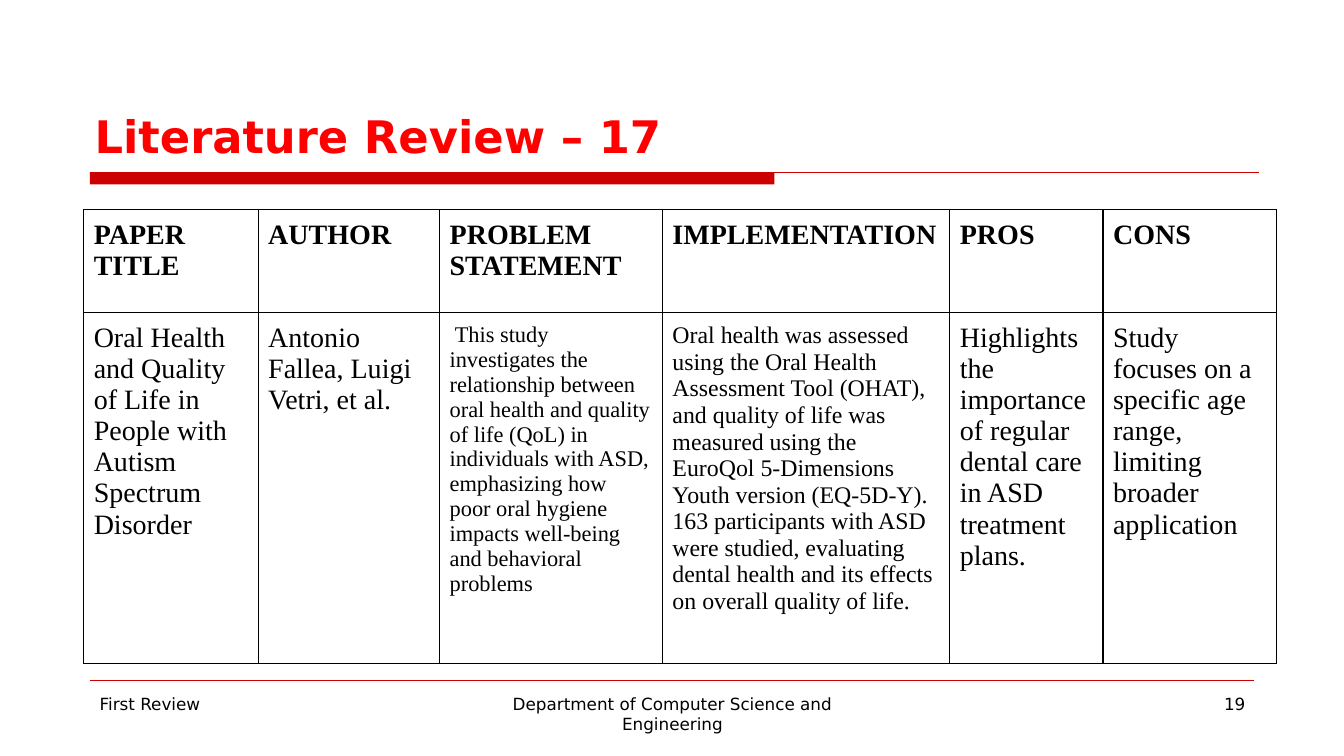
from lxml.etree import SubElement
from pptx import Presentation
from pptx.dml.color import RGBColor
from pptx.enum.shapes import MSO_CONNECTOR, MSO_SHAPE
from pptx.enum.text import MSO_ANCHOR, PP_ALIGN
from pptx.oxml.ns import qn
from pptx.util import Inches, Pt


def color(value):
    return RGBColor.from_string(value)


class ReviewSlide:
    """Style and drawing methods for one literature review slide."""

    sans = "DejaVu Sans"
    serif = "Times New Roman"
    black = "000000"
    red = "FF0000"
    accent = "CC0000"

    def __init__(self, deck):
        self.page = deck.slides.add_slide(deck.slide_layouts[6])

    def fill_para(self, para, text, size, font, ink=black, bold=False):
        para.text = text
        for span in para.runs:
            span.font.size = Pt(size)
            span.font.name = font
            span.font.bold = bold
            span.font.color.rgb = color(ink)

    def text(self, left, top, width, height, text, size=12, ink=black,
             bold=False, align=PP_ALIGN.LEFT, anchor=MSO_ANCHOR.TOP):
        box = self.page.shapes.add_textbox(
            Inches(left), Inches(top), Inches(width), Inches(height))
        frame = box.text_frame
        frame.word_wrap = True
        frame.vertical_anchor = anchor
        para = frame.paragraphs[0]
        self.fill_para(para, text, size, self.sans, ink, bold)
        para.alignment = align

    def bar(self, left, top, width, height):
        shape = self.page.shapes.add_shape(
            MSO_SHAPE.RECTANGLE, Inches(left), Inches(top), Inches(width), Inches(height))
        shape.shadow.inherit = False
        shape.fill.solid()
        shape.fill.fore_color.rgb = color(self.accent)
        shape.line.fill.background()

    def rule(self, left, right, top, weight):
        line = self.page.shapes.add_connector(
            MSO_CONNECTOR.STRAIGHT, Inches(left), Inches(top), Inches(right), Inches(top))
        line.line.color.rgb = color(self.accent)
        line.line.width = Pt(weight)
        SubElement(line._element.spPr, qn("a:effectLst"))

    def border(self, cell):
        properties = cell._tc.get_or_add_tcPr()
        for position, side in enumerate(("a:lnL", "a:lnR", "a:lnT", "a:lnB")):
            edge = properties.makeelement(qn(side), {"w": str(Pt(1))})
            fill = SubElement(edge, qn("a:solidFill"))
            SubElement(fill, qn("a:srgbClr"), val=self.black)
            properties.insert(position, edge)

    def table(self, left, top, widths, heights, rows, sizes):
        frame = self.page.shapes.add_table(
            len(rows), len(widths), Inches(left), Inches(top),
            Inches(sum(widths)), Inches(sum(heights)))
        grid = frame.table
        for column, width in zip(grid.columns, widths):
            column.width = Inches(width)
        for row, height in zip(grid.rows, heights):
            row.height = Inches(height)
        for row_index, texts in enumerate(rows):
            for column_index, text in enumerate(texts):
                cell = grid.cell(row_index, column_index)
                cell.margin_left = cell.margin_right = Inches(0.1)
                cell.margin_top = cell.margin_bottom = Inches(0.1)
                cell.fill.background()
                self.border(cell)
                self.fill_para(cell.text_frame.paragraphs[0], text,
                               sizes[row_index][column_index], self.serif,
                               bold=row_index == 0)


def main():
    deck = Presentation()
    deck.slide_width = Inches(13.33)
    deck.slide_height = Inches(7.5)
    slide = ReviewSlide(deck)

    slide.bar(0.89, 1.71, 6.79, 0.12)
    slide.rule(0.89, 12.49, 1.71, 0.75)
    slide.rule(0.89, 12.44, 6.75, 0.25)
    slide.text(0.84, 0.33, 11.67, 1.33, "Literature Review – 17", size=32,
               ink=slide.red, bold=True, anchor=MSO_ANCHOR.BOTTOM)
    for left, width, text, align in (
        (0.89, 2.89, "First Review", PP_ALIGN.LEFT),
        (4.56, 4.22, "Department of Computer Science and Engineering", PP_ALIGN.CENTER),
        (9.56, 2.89, "19", PP_ALIGN.RIGHT),
    ):
        slide.text(left, 6.83, width, 0.52, text, align=align)

    headings = ("PAPER\nTITLE", "AUTHOR", "PROBLEM STATEMENT",
                "IMPLEMENTATION", "PROS", "CONS")
    review = (
        "Oral Health and Quality of Life in People with Autism Spectrum Disorder",
        "Antonio Fallea, Luigi Vetri, et al.",
        " This study investigates the relationship between oral health and quality "
        "of life (QoL) in individuals with ASD, emphasizing how poor oral hygiene "
        "impacts well-being and behavioral problems",
        "Oral health was assessed using the Oral Health Assessment Tool (OHAT), and "
        "quality of life was measured using the EuroQol 5-Dimensions Youth version "
        "(EQ-5D-Y). 163 participants with ASD were studied, evaluating dental health "
        "and its effects on overall quality of life.",
        "Highlights the importance of regular dental care in ASD treatment plans.",
        "Study focuses on a specific age range, limiting broader application",
    )
    slide.table(0.83, 2.08, (1.73, 1.8, 2.21, 2.85, 1.52, 1.72), (1.02, 3.48),
                (headings, review), ((20,) * 6, (20, 20, 16, 17, 20, 20)))
    deck.save("out.pptx")


if __name__ == "__main__":
    main()
